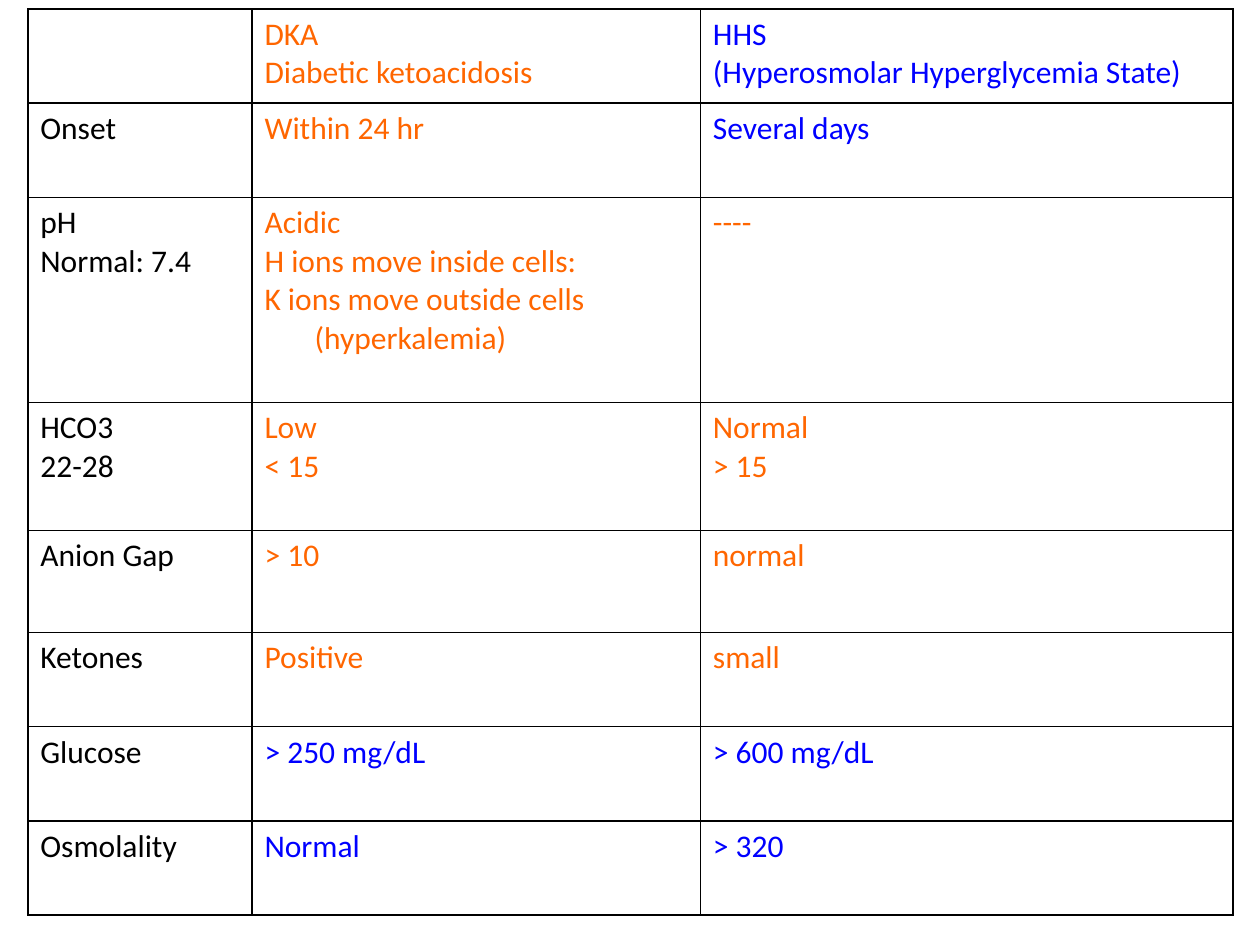
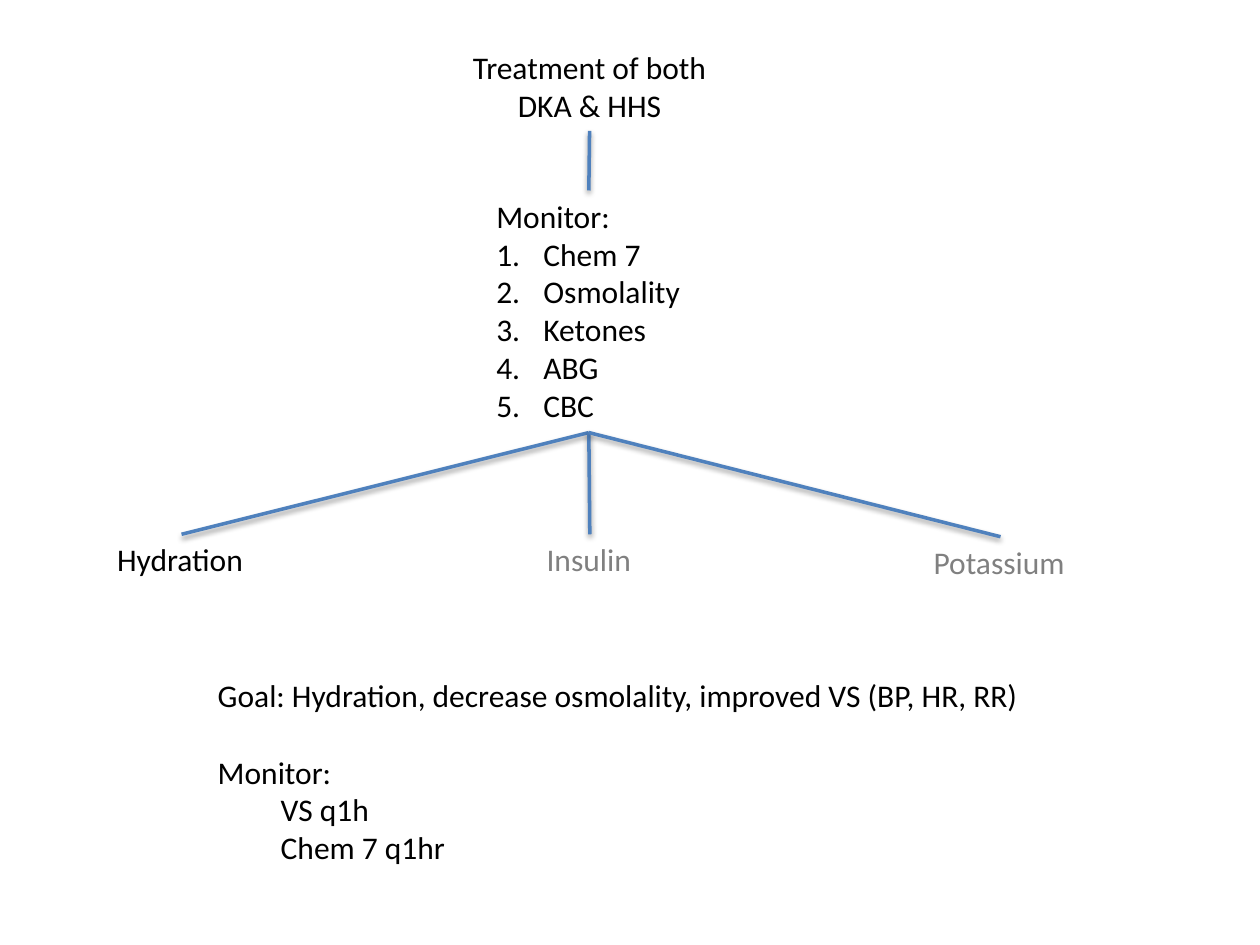
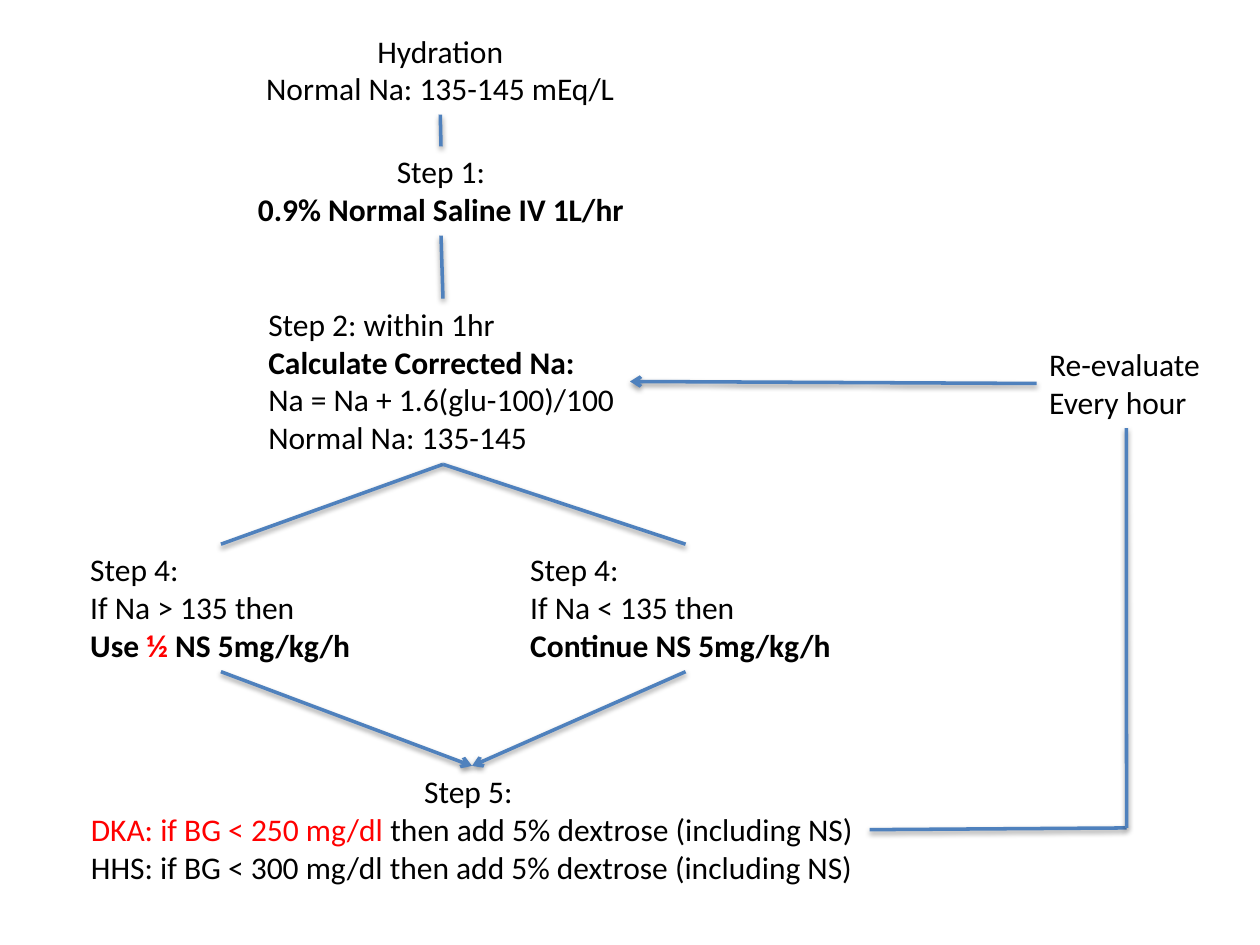
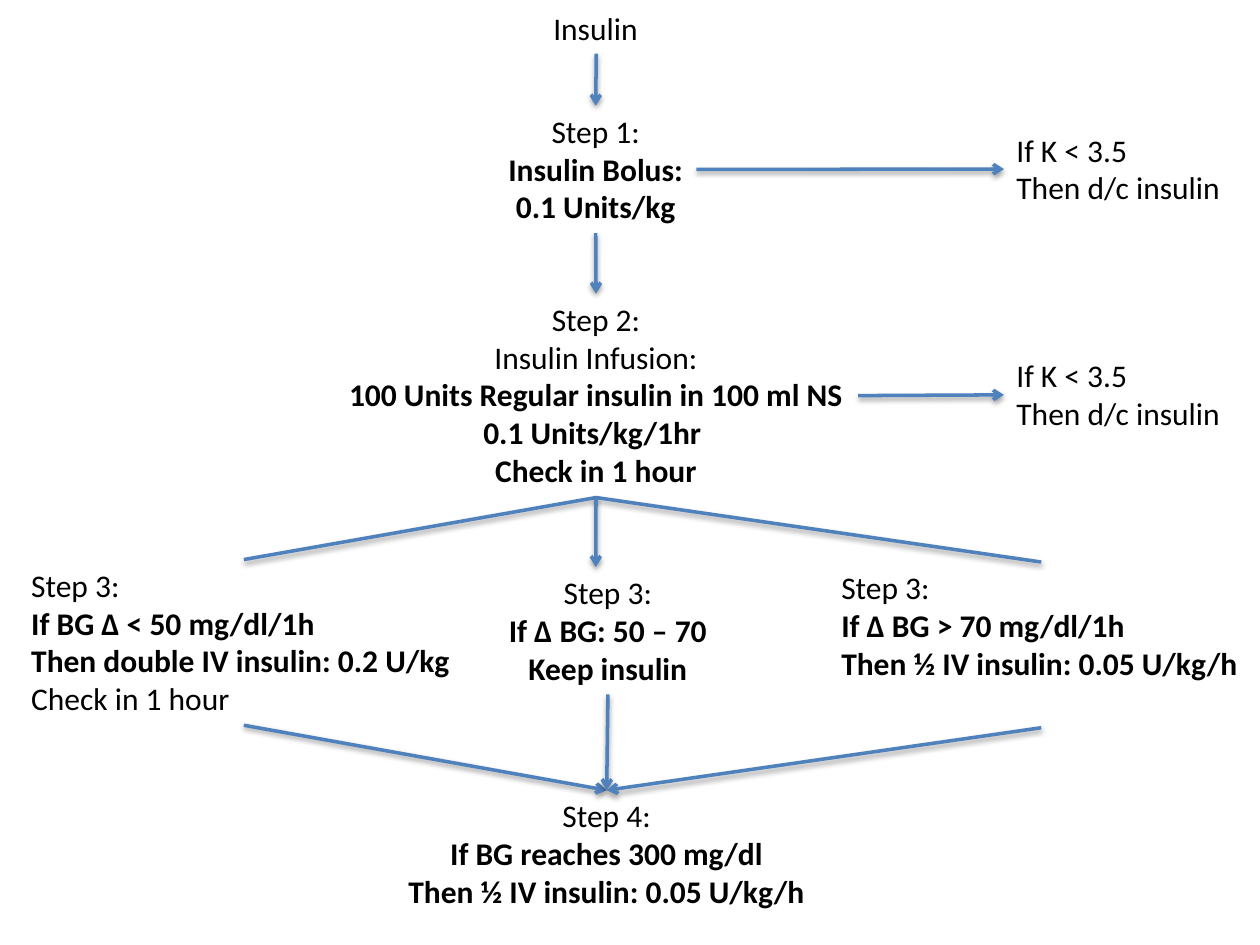
from dataclasses import dataclass

from lxml import etree
from pptx import Presentation
from pptx.dml.color import RGBColor
from pptx.enum.shapes import MSO_CONNECTOR as Connector
from pptx.enum.text import MSO_ANCHOR as Anchor
from pptx.enum.text import MSO_AUTO_SIZE as AutoSize
from pptx.enum.text import PP_ALIGN as Align
from pptx.oxml import parse_xml
from pptx.oxml.ns import nsdecls, qn
from pptx.util import Cm, Pt


@dataclass(frozen=True)
class Theme:
    font: str = "Calibri"
    size: float = 18
    line_width: float = 2
    border_width: float = 1
    row_height: float = 0.77
    box_padding: float = 0.26
    inset: float = 0.13
    line_gap: float = 22
    ink: str = "000000"
    paper: str = "FFFFFF"
    orange: str = "FF6600"
    blue: str = "0000FF"
    red: str = "FF0000"
    faded: str = "808080"
    arrow: str = "4F81BD"


THEME = Theme()
TITLE_AND_CONTENT, TITLE_ONLY, BLANK = 1, 5, 6
TOP, LEFT, BOTTOM, RIGHT = range(4)


@dataclass(frozen=True)
class Line:
    wording: tuple
    bold: bool = False
    color: str = THEME.ink
    indent: float = 0
    numbered: bool = False
    gap: int = 0


def bold(*wording):
    return Line(wording, bold=True)


def as_line(content):
    return content if isinstance(content, Line) else Line((content,))


def apply(target, formats):
    for attribute, value in formats.items():
        setattr(target, attribute, value)


def write_line(paragraph, line, align):
    properties = paragraph._p.get_or_add_pPr()
    properties.set("marL", str(Cm(line.indent)))
    properties.set("indent", str(-Cm(line.indent) if line.numbered else 0))
    if line.numbered:
        numbering = etree.SubElement(properties, qn("a:buAutoNum"))
        numbering.set("type", "arabicPeriod")
    else:
        etree.SubElement(properties, qn("a:buNone"))
    apply(paragraph, {
        "alignment": align,
        "space_before": Pt(line.gap * THEME.line_gap),
    })
    for phrase in line.wording:
        text, color = (phrase, line.color) if isinstance(phrase, str) else phrase
        run = paragraph.add_run()
        run.text = text
        apply(run.font, {"name": THEME.font, "size": Pt(THEME.size), "bold": line.bold})
        run.font.color.rgb = RGBColor.from_string(color)


def write_lines(frame, lines, align=Align.LEFT):
    for index, line in enumerate(lines):
        paragraph = frame.add_paragraph() if index else frame.paragraphs[0]
        write_line(paragraph, line, align)


def place_text(holder, left, top, width, contents, align=Align.LEFT, spare_rows=0):
    lines = [as_line(content) for content in contents]
    rows = len(lines) + sum(line.gap for line in lines) + spare_rows
    apply(holder, {
        "left": Cm(left),
        "top": Cm(top),
        "width": Cm(width),
        "height": Cm(THEME.box_padding + rows * THEME.row_height),
    })
    write_lines(holder.text_frame, lines, align)
    apply(holder.text_frame, {
        "word_wrap": False,
        "auto_size": AutoSize.SHAPE_TO_FIT_TEXT,
        "vertical_anchor": Anchor.TOP,
        "margin_bottom": Cm(THEME.inset + spare_rows * THEME.row_height),
    })
    return holder


def add_note(slide, *place, **options):
    box = slide.shapes.add_textbox(0, 0, 0, 0)
    return place_text(box, *place, **options)


def add_link(slide, start, end, arrow=False):
    link = slide.shapes.add_connector(Connector.STRAIGHT, 0, 0, 0, 0)
    ends = (
        (start, link.begin_connect, "begin_x", "begin_y"),
        (end, link.end_connect, "end_x", "end_y"),
    )
    for (anchor, position), connect, x_name, y_name in ends:
        if isinstance(anchor, (int, float)):
            apply(link, {x_name: Cm(anchor), y_name: Cm(position)})
        else:
            connect(anchor, position)
    link.line.width = Pt(THEME.line_width)
    link.line.color.rgb = RGBColor.from_string(THEME.arrow)
    properties = link._element.spPr
    if arrow:
        etree.SubElement(properties.find(qn("a:ln")), qn("a:tailEnd")).set("type", "arrow")
    properties.append(parse_xml(
        f'<a:effectLst {nsdecls("a")}>'
        f'<a:outerShdw blurRad="{Pt(3.1)}" dist="{Pt(1.6)}" dir="5400000" rotWithShape="0">'
        f'<a:srgbClr val="{THEME.ink}"><a:alpha val="38000"/></a:srgbClr>'
        '</a:outerShdw></a:effectLst>'
    ))


def style_cell(cell):
    cell.fill.solid()
    cell.fill.fore_color.rgb = RGBColor.from_string(THEME.paper)
    properties = cell._tc.get_or_add_tcPr()
    for position, side in enumerate(("lnL", "lnR", "lnT", "lnB")):
        properties.insert(position, parse_xml(
            f'<a:{side} {nsdecls("a")} w="{Pt(THEME.border_width)}"><a:solidFill>'
            f'<a:srgbClr val="{THEME.ink}"/></a:solidFill></a:{side}>'
        ))


def add_comparison(slide, left, top, widths, rows):
    frame = slide.shapes.add_table(
        len(rows), len(widths), Cm(left), Cm(top),
        Cm(sum(widths)), Cm(sum(height for height, *_ in rows)),
    )
    table = frame.table
    apply(table, {"first_row": False, "horz_banding": False})
    for column, width in zip(table.columns, widths):
        column.width = Cm(width)
    for row, (height, colors, *entries) in zip(table.rows, rows):
        row.height = Cm(height)
        for cell, color, entry in zip(row.cells, colors, entries):
            style_cell(cell)
            lines = [
                Line((text,), color=color, indent=1.01 if text.startswith("(hyperk") else 0)
                for text in entry
            ]
            write_lines(cell.text_frame, lines)


def new_slide(deck, layout):
    return deck.slides.add_slide(deck.slide_layouts[layout])


def build_comparison(deck):
    slide = new_slide(deck, BLANK)
    contrast = (THEME.ink, THEME.orange, THEME.blue)
    both_orange = (THEME.ink, THEME.orange, THEME.orange)
    both_blue = (THEME.ink, THEME.blue, THEME.blue)
    add_comparison(slide, 0.56, 0.18, (4.52, 9.04, 10.74), (
        (1.9, contrast, (), ("DKA", "Diabetic ketoacidosis"),
         ("HHS", "(Hyperosmolar Hyperglycemia State)")),
        (1.9, contrast, ("Onset",), ("Within 24 hr",), ("Several days",)),
        (4.13, both_orange, ("pH", "Normal: 7.4"),
         ("Acidic", "H ions move inside cells:", "K ions move outside cells",
          "(hyperkalemia)"), ("----",)),
        (2.58, both_orange, ("HCO3", "22-28"), ("Low", "< 15"), ("Normal", "> 15")),
        (2.06, both_orange, ("Anion Gap",), ("> 10",), ("normal",)),
        (1.9, both_orange, ("Ketones",), ("Positive",), ("small",)),
        (1.9, both_blue, ("Glucose",), ("> 250 mg/dL",), ("> 600 mg/dL",)),
        (1.9, both_blue, ("Osmolality",), ("Normal",), ("> 320",)),
    ))


def build_treatment(deck):
    slide = new_slide(deck, TITLE_AND_CONTENT)
    treatment = place_text(slide.shapes.title, 9.22, 0.84, 5.33,
                           ("Treatment of both", "DKA & HHS"), Align.CENTER)
    tests = [
        Line((test,), indent=0.95, numbered=True)
        for test in ("Chem 7", "Osmolality", "Ketones", "ABG", "CBC")
    ]
    monitor = place_text(slide.placeholders[1], 9.75, 3.84, 4.24, ("Monitor:", *tests))
    add_link(slide, (treatment, BOTTOM), (monitor, TOP))
    for left, top, width, therapy, color in (
        (2.11, 10.77, 3.1, "Hydration", THEME.ink),
        (10.77, 10.77, 2.24, "Insulin", THEME.faded),
        (18.57, 10.82, 3.2, "Potassium", THEME.faded),
    ):
        branch = add_note(slide, left, top, width, (Line((therapy,), color=color),))
        add_link(slide, (monitor, BOTTOM), (branch, TOP))
    add_note(slide, 4.14, 13.51, 16.99, (
        "Goal: Hydration, decrease osmolality, improved VS (BP, HR, RR)",
        Line(("Monitor:",), gap=1),
        Line(("VS q1h",), indent=1.27),
        Line(("Chem 7 q1hr",), indent=1.27),
    ))


def build_hydration(deck):
    slide = new_slide(deck, TITLE_ONLY)
    hydration = place_text(slide.shapes.title, 5.05, 0.51, 7.65,
                           ("Hydration", "Normal Na: 135-145 mEq/L"), Align.CENTER)
    saline = add_note(slide, 4.9, 2.95, 7.98,
                      ("Step 1:", bold("0.9% Normal Saline IV 1L/hr")), align=Align.CENTER)
    corrected_na = add_note(slide, 5.16, 6.02, 7.54, (
        "Step 2: within 1hr",
        bold("Calculate Corrected Na:"),
        "Na = Na + 1.6(glu-100)/100",
        "Normal Na: 135-145",
    ))
    high_na = add_note(slide, 1.57, 10.97, 5.77, (
        "Step 4:", "If Na > 135 then", bold("Use ", ("½", THEME.red), " NS 5mg/kg/h")))
    low_na = add_note(slide, 10.44, 10.97, 6.76, (
        "Step 4:", "If Na < 135 then", bold("Continue NS 5mg/kg/h")))
    dextrose = add_note(slide, 1.5, 15.44, 16.03, (
        "Step 5: ",
        Line((("DKA: if BG < 250 mg/dl ", THEME.red), "then add 5% dextrose (including NS)")),
        "HHS: if BG < 300 mg/dl then add 5% dextrose (including NS)",
    ), align=Align.CENTER)
    recheck = add_note(slide, 20.9, 6.83, 3.61, ("Re-evaluate", "Every hour"))

    add_link(slide, (hydration, BOTTOM), (saline, TOP))
    add_link(slide, (saline, BOTTOM), (corrected_na, TOP))
    for sodium_case in (high_na, low_na):
        add_link(slide, (corrected_na, BOTTOM), (sodium_case, TOP))
        add_link(slide, (sodium_case, BOTTOM), (dextrose, TOP), arrow=True)
    loop_corner = (22.71, 16.69)
    add_link(slide, (dextrose, RIGHT), loop_corner)
    add_link(slide, (recheck, BOTTOM), loop_corner)
    add_link(slide, (recheck, LEFT), (corrected_na, RIGHT), arrow=True)


def build_insulin(deck):
    slide = new_slide(deck, TITLE_ONLY)
    insulin = place_text(slide.shapes.title, 10.9, 0.05, 2.24, ("Insulin",))
    bolus = add_note(slide, 9.98, 2.13, 4.06, (
        "Step 1:", bold("Insulin Bolus:"), bold("0.1 Units/kg")), align=Align.CENTER)
    infusion = add_note(slide, 6.73, 5.92, 10.57, (
        "Step 2:",
        "Insulin Infusion:",
        bold("100 Units Regular insulin in 100 ml NS"),
        bold("0.1 Units/kg/1hr "),
        bold("Check in 1 hour"),
    ), align=Align.CENTER)
    slow_fall = add_note(slide, 0.38, 11.28, 9.07, (
        "Step 3:",
        bold("If BG Δ < 50 mg/dl/1h"),
        bold("Then double IV insulin: 0.2 U/kg"),
        "Check in 1 hour",
    ))
    steady_fall = add_note(slide, 9.98, 11.43, 4.55, (
        "Step 3:", bold("If Δ BG: 50 – 70"), bold("Keep insulin")), align=Align.CENTER)
    fast_fall = add_note(slide, 16.71, 11.33, 8.56, (
        "Step 3:",
        bold("If Δ BG > 70 mg/dl/1h"),
        bold("Then ½ IV insulin: 0.05 U/kg/h"),
    ), spare_rows=1)
    target = add_note(slide, 7.95, 15.93, 8.56, (
        "Step 4:",
        bold("If BG reaches 300 mg/dl"),
        bold("Then ½ IV insulin: 0.05 U/kg/h"),
    ), align=Align.CENTER)

    add_link(slide, (insulin, BOTTOM), (bolus, TOP), arrow=True)
    add_link(slide, (bolus, BOTTOM), (infusion, TOP), arrow=True)
    for dose, top in ((bolus, 2.51), (infusion, 7.06)):
        low_potassium = add_note(slide, 20.24, top, 4.67, ("If K < 3.5", "Then d/c insulin"))
        add_link(slide, (dose, RIGHT), (low_potassium, LEFT), arrow=True)
    for response in (slow_fall, fast_fall):
        add_link(slide, (infusion, BOTTOM), (response, TOP))
    add_link(slide, (infusion, BOTTOM), (12.01, 11.43), arrow=True)
    for response in (slow_fall, steady_fall, fast_fall):
        add_link(slide, (response, BOTTOM), (target, TOP), arrow=True)


def main():
    deck = Presentation()
    apply(deck, {"slide_width": Cm(25.4), "slide_height": Cm(19.05)})
    for build in (build_comparison, build_treatment, build_hydration, build_insulin):
        build(deck)
    deck.save("out.pptx")


if __name__ == "__main__":
    main()
